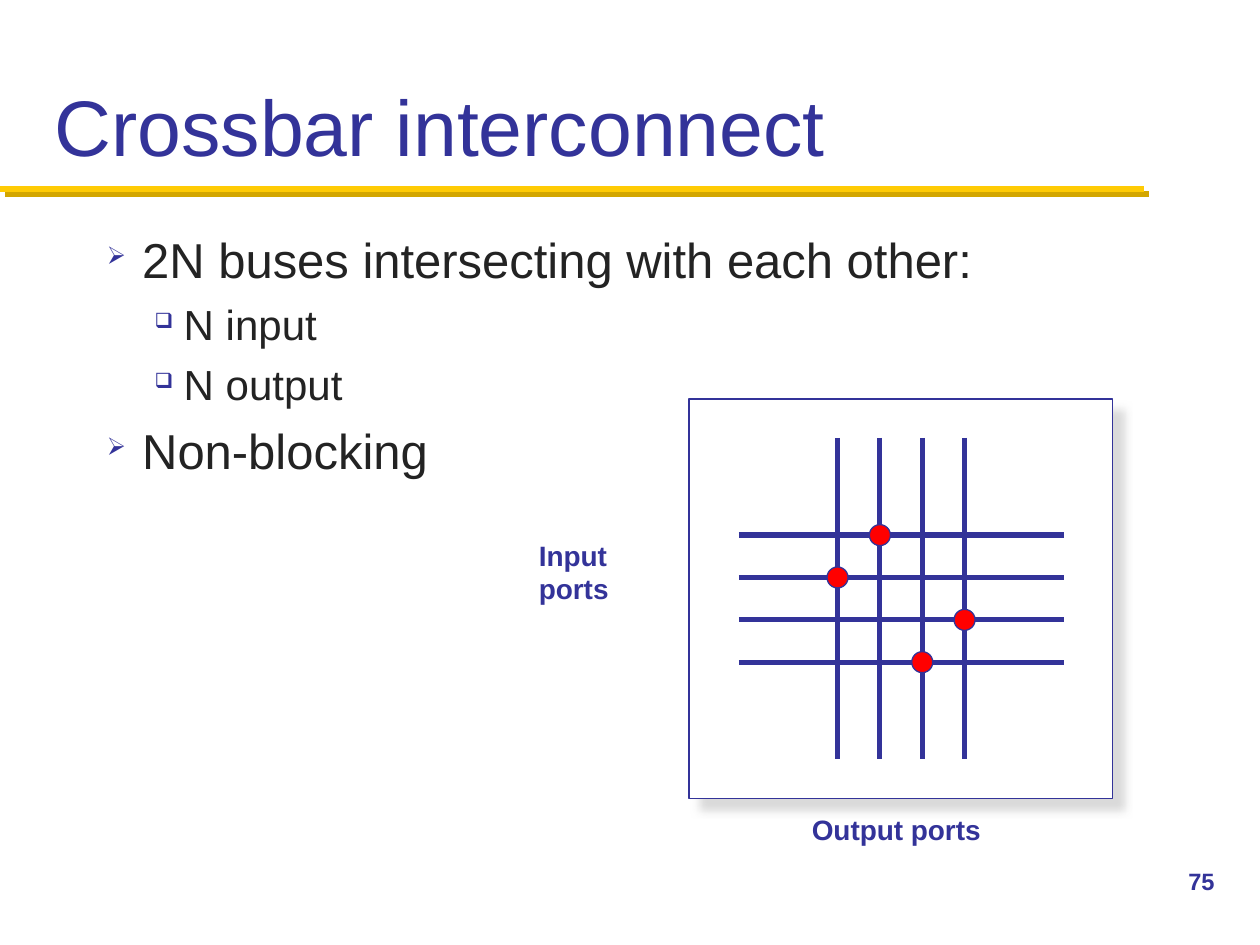
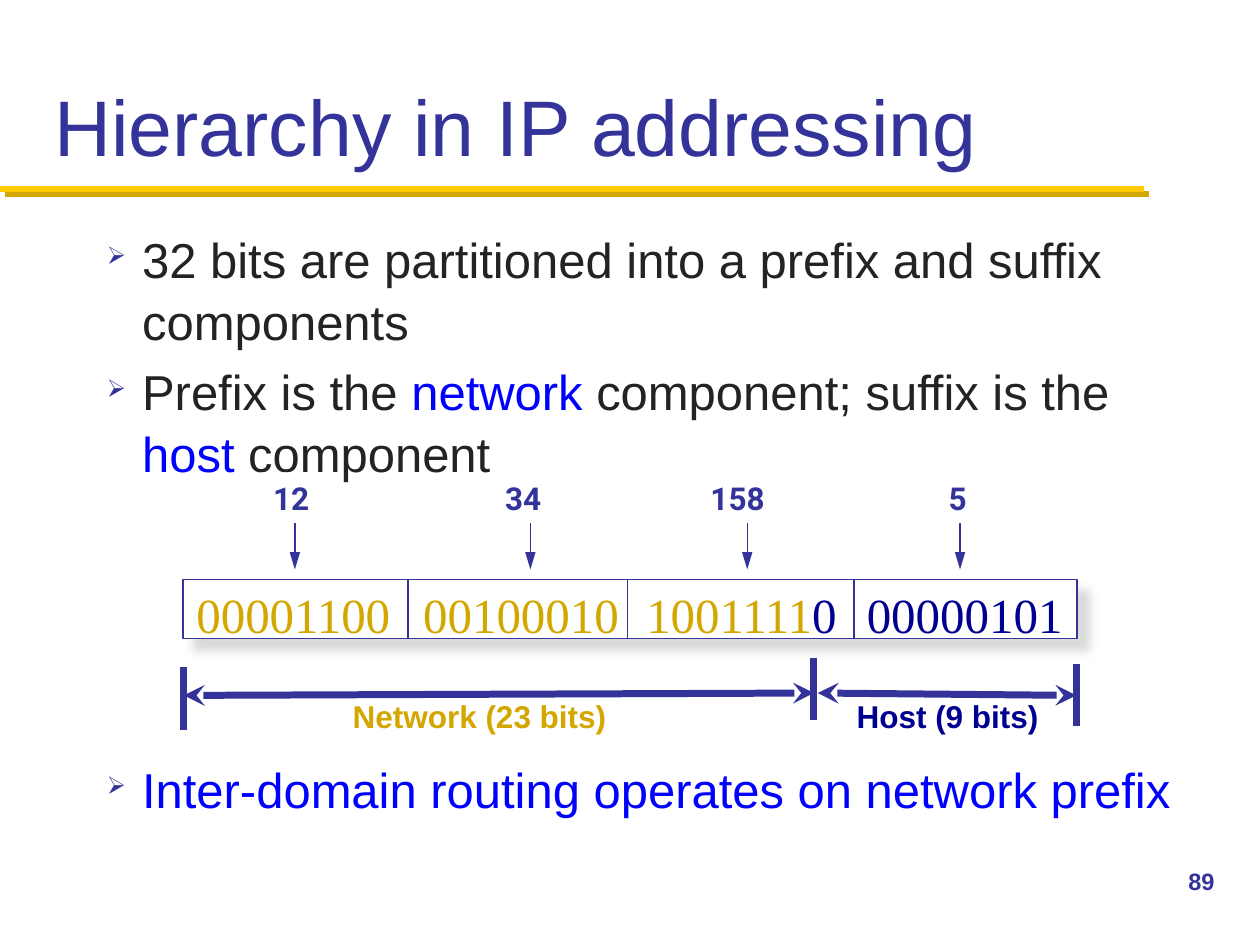
from dataclasses import dataclass

from lxml.etree import SubElement
from pptx import Presentation
from pptx.dml.color import RGBColor
from pptx.enum.shapes import MSO_CONNECTOR as Connector, MSO_SHAPE as Shape
from pptx.enum.text import MSO_ANCHOR as Anchor, PP_ALIGN as Align
from pptx.oxml.ns import qn
from pptx.util import Pt


@dataclass(frozen=True)
class Theme:
    indigo: str = "333399"
    ink: str = "232323"
    blue: str = "0000FF"
    navy: str = "000090"
    yellow: str = "FFCB05"
    gold: str = "D3A600"
    grey: str = "CECECE"
    white: str = "FFFFFF"
    red: str = "FF0000"
    font: str = "Arial"
    decimal_font: str = "Roboto"
    bits_font: str = "Times New Roman"
    title_size: float = 45
    level_sizes: tuple = (28, 24)
    bits_size: float = 28
    span_size: float = 18
    port_size: float = 16
    number_size: float = 13.5


theme = Theme()


def add_text(slide, box, paragraphs, size, font=theme.font, bold=False, wrap=True):
    """Add a text box; each paragraph is a list of (text, colour) runs."""
    shape = slide.shapes.add_textbox(*map(Pt, box))
    frame = shape.text_frame
    frame.word_wrap = wrap
    for index, runs in enumerate(paragraphs):
        paragraph = frame.add_paragraph() if index else frame.paragraphs[0]
        for text, color in runs:
            run = paragraph.add_run()
            run.text = text
            run.font.name = font
            run.font.size = Pt(size)
            run.font.bold = bold
            run.font.color.rgb = RGBColor.from_string(color)
    return shape


def add_line(slide, start, end, width, color=theme.indigo, **arrowheads):
    """Add a line; headEnd and tailEnd each take an arrow (type, length)."""
    line = slide.shapes.add_connector(Connector.STRAIGHT, *map(Pt, (*start, *end)))
    line.line.width = Pt(width)
    line.line.color.rgb = RGBColor.from_string(color)
    properties = line._element.spPr
    outline = properties.find(qn("a:ln"))
    for tag, (kind, length) in arrowheads.items():
        SubElement(outline, qn(f"a:{tag}"), type=kind, w="med", len=length)
    SubElement(properties, qn("a:effectLst"))
    return line


presentation = Presentation()
presentation.slide_width = Pt(720)
presentation.slide_height = Pt(540)

# Each bullet: level, space before, runs
crossbar_bullets = [
    (0, 0, [("2N buses intersecting with each other:", theme.ink)]),
    (1, 4.2, [("N input", theme.ink)]),
    (1, 4.2, [("N output", theme.ink)]),
    (0, 5, [("Non-blocking", theme.ink)]),
]
address_bullets = [
    (0, 0, [("32 bits are partitioned into a prefix and suffix components", theme.ink)]),
    (0, 5, [("Prefix is the ", theme.ink), ("network", theme.blue),
            (" component; suffix is the ", theme.ink), ("host", theme.blue),
            (" component", theme.ink)]),
    (0, 156.5, [("Inter-domain routing operates on network prefix", theme.blue)]),
]
# Title, page number, bullets, body width, panel box
contents = [
    ("Crossbar interconnect", "75", crossbar_bullets, 624, (393.8, 228.2, 242, 228.2)),
    ("Hierarchy in IP addressing", "89", address_bullets, 642, (104.4, 331.2, 511.2, 33.8)),
]
bullet_styles = [("➢", 20.16, -20.16), ("❑", 43.9, -16.6)]

for title, number, bullets, body_width, panel_box in contents:
    slide = presentation.slides.add_slide(presentation.slide_layouts[6])
    band = add_line(slide, (0, 108), (653.8, 108), 3.5, theme.yellow)
    title_box = add_text(slide, (24, 12, 672, 90), [[(title, theme.indigo)]], theme.title_size)
    title_box.text_frame.vertical_anchor = Anchor.BOTTOM

    body = add_text(slide, (54, 126, body_width, 348),
                    [runs for _, _, runs in bullets], theme.level_sizes[0])
    for paragraph, (level, space, _) in zip(body.text_frame.paragraphs, bullets):
        mark, margin, indent = bullet_styles[level]
        properties = paragraph._p.get_or_add_pPr()
        properties.set("marL", str(Pt(margin)))
        properties.set("indent", str(Pt(indent)))
        bullet_color = SubElement(properties, qn("a:buClr"))
        SubElement(bullet_color, qn("a:srgbClr"), val=theme.indigo)
        SubElement(properties, qn("a:buSzPct"), val="50000")
        SubElement(properties, qn("a:buChar"), char=mark)
        paragraph.level = level
        paragraph.line_spacing = 1.05
        paragraph.space_before = Pt(space)
        for run in paragraph.runs:
            run.font.size = Pt(theme.level_sizes[level])

    add_text(slide, (672, 492, 48, 36), [[(number, theme.indigo)]],
             theme.number_size, bold=True)

    panel = slide.shapes.add_shape(Shape.RECTANGLE, *map(Pt, panel_box))
    panel.fill.solid()
    panel.fill.fore_color.rgb = RGBColor.from_string(theme.white)
    panel.line.color.rgb = RGBColor.from_string(theme.indigo)
    panel.line.width = Pt(1)
    panel.shadow.inherit = False

    for shape, color, opacity, blur, distance in (
        (band, theme.gold, 100, 0, 4.2),
        (panel, theme.grey, 75, 5, 8.5),
    ):
        effects = shape._element.spPr.find(qn("a:effectLst"))
        shadow = SubElement(effects, qn("a:outerShdw"), blurRad=str(Pt(blur)),
                            dist=str(Pt(distance)), dir=str(45 * 60000),
                            algn="ctr", rotWithShape="0")
        shadow_color = SubElement(shadow, qn("a:srgbClr"), val=color)
        SubElement(shadow_color, qn("a:alpha"), val=str(opacity * 1000))

crossbar_slide, address_slide = presentation.slides

# Crossbar: four buses each way, with a dot at every closed crosspoint
bus_left, bus_top, bus_pitch = 478.6, 305.8, 24.2
for bus in range(4):
    x = bus_left + bus * bus_pitch
    y = bus_top + bus * bus_pitch
    add_line(crossbar_slide, (x, 250.2), (x, 434), 3)
    add_line(crossbar_slide, (422.2, y), (608, y), 3)

dot_size = 12
for column, row in ((1, 0), (0, 1), (3, 2), (2, 3)):
    x = bus_left + column * bus_pitch - dot_size / 2
    y = bus_top + row * bus_pitch - dot_size / 2
    dot = crossbar_slide.shapes.add_shape(Shape.OVAL, Pt(x), Pt(y), Pt(dot_size), Pt(dot_size))
    dot.fill.solid()
    dot.fill.fore_color.rgb = RGBColor.from_string(theme.red)
    dot.line.color.rgb = RGBColor.from_string(theme.indigo)
    dot.line.width = Pt(0.75)
    dot.shadow.inherit = False

add_text(crossbar_slide, (300.8, 304, 87, 80),
         [[("Input", theme.indigo)], [("ports", theme.indigo)]], theme.port_size, bold=True)
output_label = add_text(crossbar_slide, (402.4, 460.8, 219.6, 31.6),
                        [[("Output ports", theme.indigo)]], theme.port_size, bold=True)
output_label.text_frame.paragraphs[0].alignment = Align.CENTER

# Address: the 32-bit register split into four octets
for x in (233.3, 358.6, 488.2):
    add_line(address_slide, (x, 331.2), (x, 365), 1)

# Decimal value, its left and width, arrow position, bits left, bit runs
octets = [
    ("12", 149, 37.4, 168.5, 105.1, [("00001100", theme.gold)]),
    ("34", 281.5, 37.4, 303.1, 234.7, [("00100010", theme.gold)]),
    ("158", 398.9, 49, 427, 362.2, [("1001111", theme.gold), ("0", theme.navy)]),
    ("5", 535, 25.9, 548.6, 488.2, [("00000101", theme.navy)]),
]
for decimal, label_left, label_width, arrow_x, bits_left, bits in octets:
    add_text(address_slide, (bits_left, 330.2, 126.4, 41), [bits],
             theme.bits_size, theme.bits_font, wrap=False)
    add_line(address_slide, (arrow_x, 275.8), (arrow_x, 325.4), 0.75,
             tailEnd=("triangle", "lg"))
    label = add_text(address_slide, (label_left, 270, label_width, 28.8),
                     [[(decimal, theme.indigo)]], theme.span_size,
                     theme.decimal_font, bold=True, wrap=False)
    label.fill.solid()
    label.fill.fore_color.rgb = RGBColor.from_string(theme.white)

# Spans of the network prefix and the host suffix
for x, top in ((105.1, 381.4), (465.1, 375.8), (615.4, 379.6)):
    add_line(address_slide, (x, top), (x, top + 35.5), 4)

for text, color, label_left, label_width, start_x, end_x in (
    ("Network (23 bits)", theme.gold, 194.4, 165, 465.1, 105.1),
    ("Host (9 bits)", theme.navy, 482.4, 126, 467.3, 615),
):
    add_line(address_slide, (start_x, 396), (end_x, 397.4), 4,
             headEnd=("stealth", "med"), tailEnd=("stealth", "med"))
    add_text(address_slide, (label_left, 394.6, label_width, 29),
             [[(text, color)]], theme.span_size, bold=True)

presentation.save("out.pptx")
